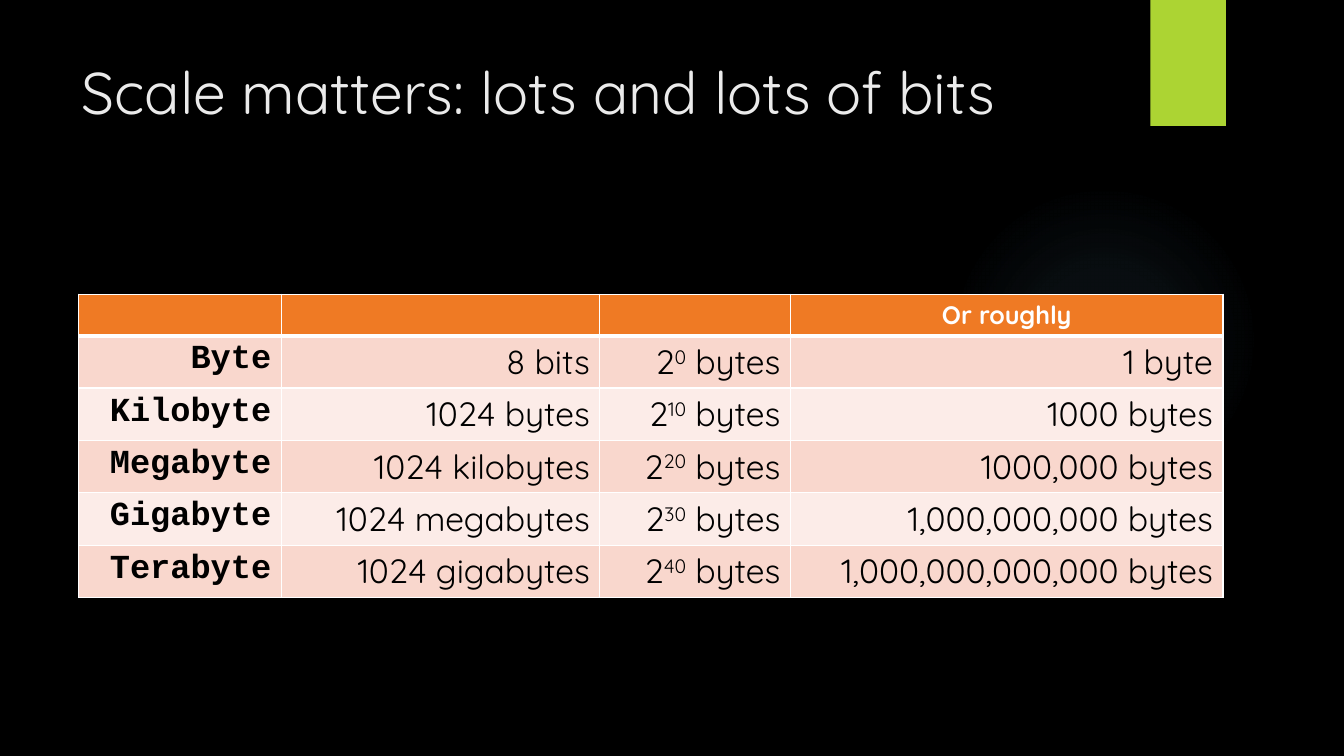
from lxml import etree
from pptx import Presentation
from pptx.dml.color import RGBColor
from pptx.enum.shapes import MSO_SHAPE
from pptx.enum.text import MSO_ANCHOR, PP_ALIGN
from pptx.oxml import parse_xml
from pptx.oxml.ns import qn
from pptx.util import Inches, Pt

RECT, OVAL = MSO_SHAPE.RECTANGLE, MSO_SHAPE.OVAL
TOP, CENTER, RIGHT = MSO_ANCHOR.TOP, PP_ALIGN.CENTER, PP_ALIGN.RIGHT

BLACK = RGBColor(0x00, 0x00, 0x00)
WHITE = RGBColor(0xFF, 0xFF, 0xFF)
PALE = RGBColor(0xEB, 0xEB, 0xEB)
LIME = RGBColor(0xAC, 0xD4, 0x33)
SKY = RGBColor(0x7A, 0xC4, 0xF0)
ORANGE = RGBColor(0xEF, 0x7A, 0x24)
BANDS = [RGBColor(0xF9, 0xD7, 0xCD), RGBColor(0xFC, 0xEC, 0xE8)]

SANS, MONO = "Quicksand", "Courier New"
COLS = [2.01, 3.16, 1.89, 4.29]
HEAD, ROW = 0.41, 0.52
LEFT, UPPER = 0.78, 2.92
DRAWING = "http://schemas.openxmlformats.org/drawingml/2006/main"

UNITS = [
    ("Byte", "8 bits", "0", "1 byte"),
    ("Kilobyte", "1024 bytes", "10", "1000 bytes"),
    ("Megabyte", "1024 kilobytes", "20", "1000,000 bytes"),
    ("Gigabyte", "1024 megabytes", "30", "1,000,000,000 bytes"),
    ("Terabyte", "1024 gigabytes", "40", "1,000,000,000,000 bytes"),
]


def add_run(para, text, size, color, face=SANS, bold=False, raised=False):
    run = para.add_run()
    run.text = text
    font = run.font
    font.size, font.name, font.bold = Pt(size), face, bold
    font.color.rgb = color
    if raised:
        run._r.get_or_add_rPr().set("baseline", "30000")


def add_block(slide, kind, box, color):
    block = slide.shapes.add_shape(kind, *map(Inches, box))
    block.shadow.inherit = False
    block.line.fill.background()
    block.fill.solid()
    block.fill.fore_color.rgb = color
    return block


def add_glow(slide, box):
    """Draw a faint disc that fades out towards its rim."""
    glow = add_block(slide, OVAL, box, SKY)
    stops = "".join(
        f'<a:gs pos="{place * 1000}"><a:srgbClr val="{SKY}">'
        f'<a:alpha val="{alpha * 1000}"/></a:srgbClr></a:gs>'
        for place, alpha in [(0, 7), (36, 6), (69, 0)])
    fade = parse_xml(
        f'<a:gradFill xmlns:a="{DRAWING}"><a:gsLst>{stops}</a:gsLst>'
        '<a:path path="circle"><a:fillToRect l="50000" t="50000" '
        'r="50000" b="50000"/></a:path></a:gradFill>')
    props = glow._element.spPr
    props.replace(props.find(qn("a:solidFill")), fade)


def add_title(slide, text, box):
    frame = slide.shapes.add_textbox(*map(Inches, box)).text_frame
    frame.word_wrap = True
    frame.vertical_anchor = TOP
    add_run(frame.paragraphs[0], text, 42, PALE)


def style_cell(cell, color, above=1, below=1):
    """Give a cell white borders, in points, and a plain fill."""
    props = cell._tc.get_or_add_tcPr()
    for side, width in zip("LRTB", (1, 1, above, below)):
        line = etree.SubElement(props, qn(f"a:ln{side}"), w=str(Pt(width)))
        fill = etree.SubElement(line, qn("a:solidFill"))
        etree.SubElement(fill, qn("a:srgbClr"), val=str(WHITE))
    cell.fill.solid()
    cell.fill.fore_color.rgb = color


def fill_row(table, index, unit):
    name, size, power, rough = unit
    texts = [
        [(name, {"face": MONO, "bold": True})],
        [(size, {})],
        [("2", {}), (power, {"raised": True}), (" bytes", {})],
        [(rough, {})],
    ]
    for col, runs in enumerate(texts):
        cell = table.cell(index, col)
        style_cell(cell, BANDS[(index - 1) % 2], above=3 if index == 1 else 1)
        para = cell.text_frame.paragraphs[0]
        para.alignment = RIGHT
        for text, look in runs:
            add_run(para, text, 24, BLACK, **look)


def add_units(slide):
    count = len(UNITS) + 1
    box = LEFT, UPPER, sum(COLS), HEAD + ROW * len(UNITS)
    table = slide.shapes.add_table(
        count, len(COLS), *map(Inches, box)).table
    for col, width in enumerate(COLS):
        table.columns[col].width = Inches(width)
        style_cell(table.cell(0, col), ORANGE, below=3)
    for index in range(count):
        table.rows[index].height = Inches(ROW if index else HEAD)
    para = table.cell(0, len(COLS) - 1).text_frame.paragraphs[0]
    para.alignment = CENTER
    add_run(para, "Or roughly", 18, WHITE, bold=True)
    for index, unit in enumerate(UNITS, 1):
        fill_row(table, index, unit)


def main():
    deck = Presentation()
    deck.slide_width, deck.slide_height = Inches(13.33), Inches(7.5)
    slide = deck.slides.add_slide(deck.slide_layouts[6])
    slide.background.fill.solid()
    slide.background.fill.fore_color.rgb = BLACK
    add_glow(slide, (9.41, 1.83, 3.08, 3.08))
    add_block(slide, RECT, (11.41, 0, 0.75, 1.25), LIME)
    add_title(slide, "Scale matters: lots and lots of bits",
              (0.71, 0.5, 10.29, 1.05))
    add_units(slide)
    deck.save("out.pptx")


if __name__ == "__main__":
    main()
